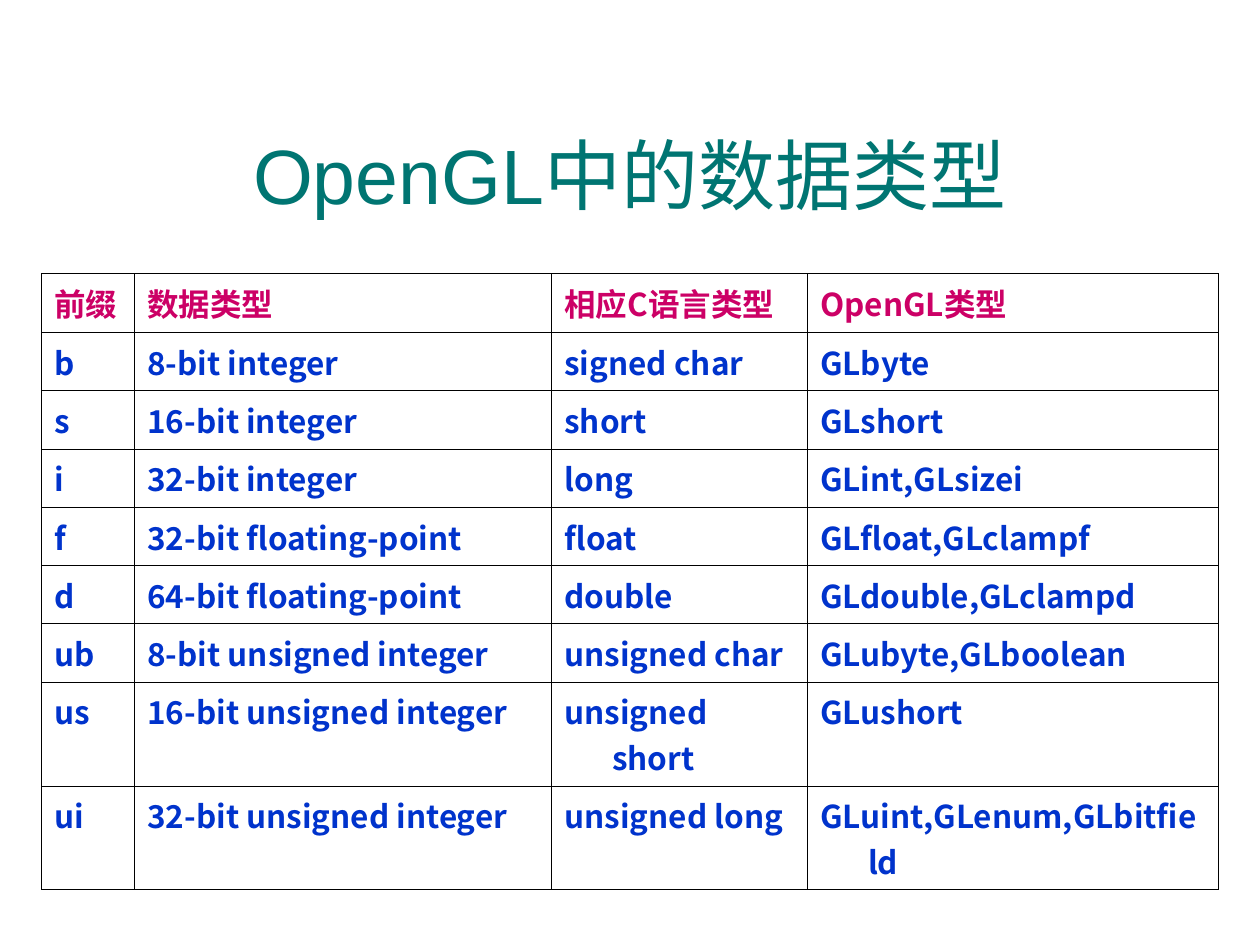
from typing import NamedTuple

from lxml import etree
from pptx import Presentation
from pptx.dml.color import RGBColor
from pptx.enum.text import MSO_ANCHOR, PP_ALIGN
from pptx.oxml.ns import qn
from pptx.util import Pt

MIDDLE, TOP = MSO_ANCHOR.MIDDLE, MSO_ANCHOR.TOP
LEFT, CENTER = PP_ALIGN.LEFT, PP_ALIGN.CENTER
CJK_FONT = "Noto Sans CJK SC"
TEAL, MAGENTA, BLUE = "007572", "CC0066", "0033CC"
WHITE, BLACK = "FFFFFF", "000000"
MARGIN = 23.76
COL_WIDTHS = (53.28, 238.32, 146.16, 234.72)
HEADER_HEIGHT, ROW_HEIGHT, WRAPPED_HEIGHT = 33.84, 31.68, 56.16
HANGING = 27.36


class DataType(NamedTuple):
    prefix: str
    meaning: str
    c_type: str
    gl_type: str
    height: float = ROW_HEIGHT


HEADER = DataType("前缀", "数据类型", "相应C语言类型", "OpenGL类型", HEADER_HEIGHT)
DATA_TYPES = [
    DataType("b", "8-bit integer", "signed char", "GLbyte"),
    DataType("s", "16-bit integer", "short", "GLshort"),
    DataType("i", "32-bit integer", "long", "GLint,GLsizei"),
    DataType("f", "32-bit floating-point", "float", "GLfloat,GLclampf"),
    DataType("d", "64-bit floating-point", "double", "GLdouble,GLclampd"),
    DataType("ub", "8-bit unsigned integer", "unsigned char", "GLubyte,GLboolean"),
    DataType("us", "16-bit unsigned integer", "unsigned short", "GLushort",
             WRAPPED_HEIGHT),
    DataType("ui", "32-bit unsigned integer", "unsigned long",
             "GLuint,GLenum,GLbitfield", WRAPPED_HEIGHT),
]


def rgb(color: str) -> RGBColor:
    return RGBColor.from_string(color)


def write(tf, text: str, *, size: float, color: str, font: str = CJK_FONT,
          bold: bool = False, align=LEFT, hanging: float = 0) -> None:
    p = tf.paragraphs[0]
    p.alignment = align
    if hanging:
        pPr = p._p.get_or_add_pPr()
        pPr.set("marL", str(Pt(hanging)))
        pPr.set("indent", str(-Pt(hanging)))
    r = p.add_run()
    r.text = text
    r.font.size, r.font.bold, r.font.name = Pt(size), bold, font
    r.font.color.rgb = rgb(color)
    etree.SubElement(r._r.get_or_add_rPr(), qn("a:ea"), typeface=CJK_FONT)


def add_borders(cell, color: str, width: float) -> None:
    """Line all four sides; the lines must precede the fill in the cell."""
    tcPr = cell._tc.get_or_add_tcPr()
    for i, side in enumerate(("lnL", "lnR", "lnT", "lnB")):
        ln = etree.Element(qn(f"a:{side}"), w=str(Pt(width)))
        fill = etree.SubElement(ln, qn("a:solidFill"))
        etree.SubElement(fill, qn("a:srgbClr"), val=color)
        tcPr.insert(i, ln)


def add_title(s, text: str) -> None:
    sp = s.shapes.title
    sp.left, sp.top = Pt(MARGIN), Pt(54)
    sp.width, sp.height = Pt(sum(COL_WIDTHS)), Pt(90)
    sp.text_frame.vertical_anchor = MIDDLE
    write(sp.text_frame, text, size=44, color=TEAL, font="Arial", align=CENTER)


def add_type_table(s, rows: list[DataType]) -> None:
    height = sum(row.height for row in rows)
    table = s.shapes.add_table(len(rows), len(COL_WIDTHS), Pt(MARGIN), Pt(156.24),
                               Pt(sum(COL_WIDTHS)), Pt(height)).table
    table.first_row = table.horz_banding = False
    for col, width in zip(table.columns, COL_WIDTHS):
        col.width = Pt(width)
    for i, row in enumerate(rows):
        table.rows[i].height = Pt(row.height)
        for j, text in enumerate(row[:len(COL_WIDTHS)]):
            cell = table.cell(i, j)
            cell.margin_left = cell.margin_right = Pt(7.2)
            cell.margin_top = cell.margin_bottom = Pt(3.6)
            cell.vertical_anchor = TOP if i else MIDDLE
            cell.fill.solid()
            cell.fill.fore_color.rgb = rgb(WHITE)
            add_borders(cell, BLACK, 0.45)
            write(cell.text_frame, text, size=18, color=BLUE if i else MAGENTA,
                  bold=True, hanging=HANGING)


def main() -> None:
    prs = Presentation()
    prs.slide_width, prs.slide_height = Pt(720), Pt(540)
    s = prs.slides.add_slide(prs.slide_layouts[5])
    add_title(s, "OpenGL中的数据类型")
    add_type_table(s, [HEADER, *DATA_TYPES])
    prs.save("out.pptx")


if __name__ == "__main__":
    main()
